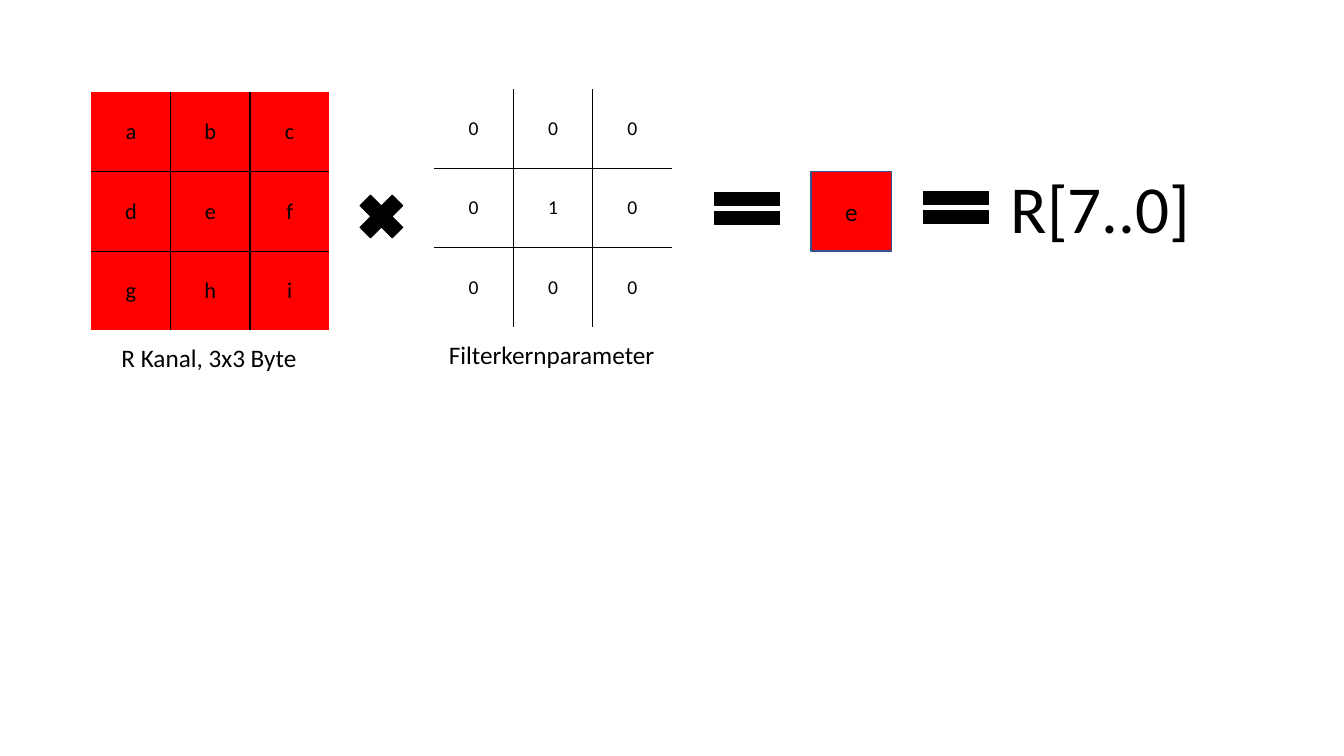
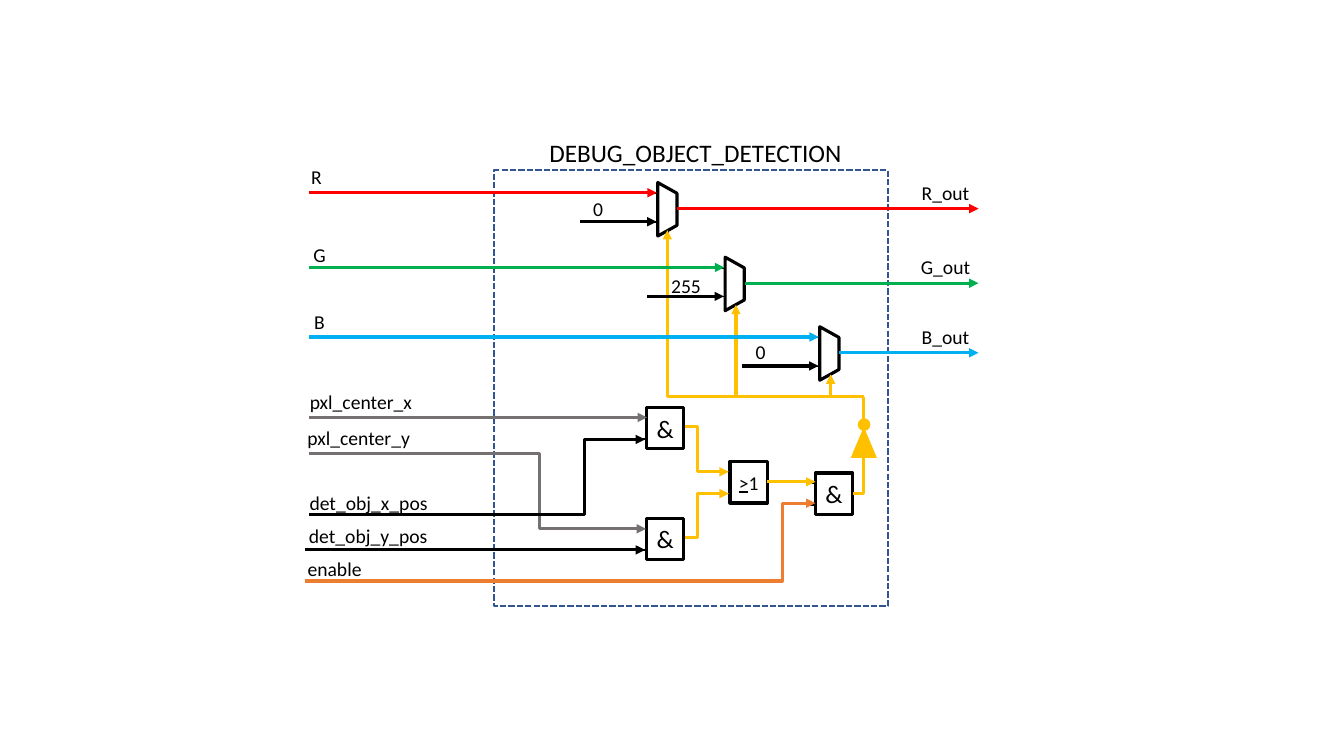
"""Builds two slides on a pixel filter and a debug circuit."""
from dataclasses import dataclass
from typing import NamedTuple, Optional

from lxml.etree import SubElement
from pptx import Presentation
from pptx.dml.color import RGBColor
from pptx.dml.fill import FillFormat
from pptx.enum.dml import MSO_LINE
from pptx.enum.shapes import MSO_CONNECTOR, MSO_SHAPE
from pptx.enum.text import MSO_ANCHOR, PP_ALIGN
from pptx.oxml.ns import qn
from pptx.shapes.autoshape import Shape
from pptx.slide import Slide
from pptx.text.text import TextFrame
from pptx.util import Pt


@dataclass(frozen=True)
class Theme:
    font: str = "Calibri"
    black: str = "000000"
    white: str = "FFFFFF"
    red: str = "FF0000"
    green: str = "00B050"
    blue: str = "00B0F0"
    grey: str = "767171"
    orange: str = "ED7D31"
    gold: str = "FFC000"
    navy: str = "325491"
    small: float = 14
    cell: float = 16
    body: float = 18
    result: float = 48
    thin: float = 1
    frame: float = 1.5
    thick: float = 2.25


THEME = Theme()


class Wire(NamedTuple):
    start: tuple[float, float]
    end: tuple[float, float]
    color: str = THEME.black
    bend: Optional[float] = None
    arrow: bool = True
    width: float = THEME.thick


Place = NamedTuple("Place", [("left", float), ("top", float), ("width", float), ("height", float)])
Span = NamedTuple("Span", [("text", str), ("underline", bool)])
Label = NamedTuple("Label", [("text", str), ("x", float), ("top", float)])
Gate = NamedTuple("Gate", [("left", float), ("top", float), ("spans", tuple[Span, ...]), ("size", float)])
Matrix = NamedTuple("Matrix", [("rows", tuple[str, ...]), ("left", float), ("top", float), ("size", float),
                               ("fill", Optional[str]), ("caption", str), ("caption_place", Place)])
Channel = NamedTuple("Channel", [("color", str), ("x", float), ("y", float), ("name", Label), ("constant", Label)])

CELL = 56.7
GATE_WIDTH, GATE_HEIGHT = 26.6, 29.7
MUX_WIDTH, MUX_HEIGHT = 13.7, 38.2
BUS_X, BUS_Y = 617, 283.4
INPUT_X, OUTPUT_X = 220.6, 699
AND = (Span("&", False),)

MATRICES = (
    Matrix(("abc", "def", "ghi"), 65.2, 66, THEME.cell, THEME.red,
           "R Kanal, 3x3 Byte", Place(79.7, 241.2, 141.1, 28.8)),
    Matrix(("000", "010", "000"), 310, 63.5, THEME.small, None,
           "Filterkernparameter", Place(313.6, 239, 162.7, 28.8)),
)
OPERATORS = (
    (MSO_SHAPE.MATH_MULTIPLY, Place(250.4, 132.6, 44.1, 44.1)),
    (MSO_SHAPE.MATH_EQUAL, Place(502, 129.4, 63.4, 38.9)),
    (MSO_SHAPE.MATH_EQUAL, Place(651.2, 128.8, 63.4, 38.9)),
)
CHANNELS = (
    Channel(THEME.red, 476.7, 149, Label("R", 226.1, 114.5), Label("0", 427.3, 136.8)),
    Channel(THEME.green, 524.8, 202.3, Label("G", 228.2, 169.9), Label("255", 490, 192.2)),
    Channel(THEME.blue, 592.4, 252, Label("B", 228.2, 217.6), Label("0", 543.2, 239.6)),
)
GATES = (
    Gate(461.9, 290.9, AND, THEME.body),
    Gate(461.9, 370.1, AND, THEME.body),
    Gate(521.5, 329.6, (Span(">", True), Span("1", False)), THEME.small),
    Gate(582.4, 337.9, AND, THEME.body),
)
WIRES = (
    Wire((INPUT_X, 298.2), (462.2, 298.2), THEME.grey),
    Wire((INPUT_X, 324), (461.5, 377.8), THEME.grey, 385.2),
    Wire((INPUT_X, 367.8), (460.8, 313.9), bend=417.6),
    Wire((217.6, 392.8), (460.8, 392.8)),
    Wire((217.6, 415), (582.5, 359.4), THEME.orange, 558.7),
    Wire((489.2, 304.6), (520.6, 337), THEME.gold, 498.2),
    Wire((489.2, 383.8), (520.6, 352.6), THEME.gold, 498.5),
    Wire((548, 344.2), (582.5, 344.2), THEME.gold),
    Wire((609.1, 352.5), (BUS_X, BUS_Y), THEME.gold, BUS_X, False),
)
LABELS = (
    Label("pxl_center_x", 257.8, 275),
    Label("pxl_center_y", 256.3, 300.4),
    Label("det_obj_x_pos", 263.3, 347),
    Label("det_obj_y_pos", 263, 370.8),
    Label("enable", 239, 394),
)


def lengths(place: Place) -> list[Pt]:
    """Gives the four lengths of a place in points."""
    return [Pt(value) for value in place]


def paint(fill: FillFormat, color: Optional[str]) -> None:
    """Sets a solid colour, or none."""
    if color:
        fill.solid()
        fill.fore_color.rgb = RGBColor.from_string(color)
    else:
        fill.background()


def write(frame: TextFrame, spans: tuple[Span, ...], size: float, align: PP_ALIGN = PP_ALIGN.CENTER) -> None:
    """Writes the spans into the first paragraph."""
    para = frame.paragraphs[0]
    para.alignment = align
    for span in spans:
        run = para.add_run()
        run.text = span.text
        run.font.name, run.font.size = THEME.font, Pt(size)
        run.font.underline = span.underline or None
        paint(run.font.fill, THEME.black)


def add_text(page: Slide, text: str, place: Place, size: float, align: PP_ALIGN = PP_ALIGN.LEFT,
             wrap: bool = True) -> None:
    """Adds a text box."""
    box = page.shapes.add_textbox(*lengths(place))
    box.text_frame.word_wrap = wrap
    write(box.text_frame, (Span(text, False),), size, align)


def add_label(page: Slide, label: Label) -> None:
    """Adds a small label centred on its x."""
    add_text(page, label.text, Place(label.x - 66, label.top, 132, 24.5), THEME.small, PP_ALIGN.CENTER)


def add_box(page: Slide, kind: MSO_SHAPE, place: Place, fill: Optional[str], line: Optional[str] = None,
            width: float = THEME.thin) -> Shape:
    """Adds a preset shape without a shadow."""
    box = page.shapes.add_shape(kind, *lengths(place))
    box.shadow.inherit = False
    paint(box.fill, fill)
    paint(box.line.fill, line)
    if line:
        box.line.width = Pt(width)
    return box


def add_symbol(box: Shape, spans: tuple[Span, ...], size: float) -> None:
    """Centres text inside a shape."""
    frame = box.text_frame
    frame.margin_left = frame.margin_right = frame.margin_top = frame.margin_bottom = 0
    frame.vertical_anchor = MSO_ANCHOR.MIDDLE
    write(frame, spans, size)


def add_wire(page: Slide, wire: Wire) -> None:
    """Adds a straight, stepped or cornered connector."""
    kind = MSO_CONNECTOR.STRAIGHT if wire.bend is None else MSO_CONNECTOR.ELBOW
    connector = page.shapes.add_connector(kind, *lengths(wire.start + wire.end))
    paint(connector.line.fill, wire.color)
    connector.line.width = Pt(wire.width)
    properties = connector._element.spPr
    geometry = properties.find(qn("a:prstGeom"))
    if wire.bend == wire.end[0]:
        geometry.set("prst", "bentConnector2")
    elif wire.bend is not None:
        ratio = round((wire.bend - wire.start[0]) / (wire.end[0] - wire.start[0]) * 100000)
        SubElement(geometry.find(qn("a:avLst")), qn("a:gd"), name="adj1", fmla=f"val {ratio}")
    if wire.arrow:
        SubElement(properties.find(qn("a:ln")), qn("a:tailEnd"), type="triangle")
    SubElement(properties, qn("a:effectLst"))


def add_pin(page: Slide, x: float, y: float, width: float, height: float = 0) -> None:
    """Adds a thin pin of a circuit part."""
    add_wire(page, Wire((x, y), (x + width, y + height), arrow=False, width=THEME.thin))


def add_matrix(page: Slide, matrix: Matrix) -> None:
    """Adds a table with inner rules only, and its caption."""
    count = len(matrix.rows)
    place = Place(matrix.left, matrix.top, CELL * count, CELL * count)
    table = page.shapes.add_table(count, count, *lengths(place)).table
    table.first_row = table.horz_banding = False
    table._tbl.tblPr.find(qn("a:tableStyleId")).text = "{2D5ABB26-0587-4C30-8999-92F81FD0307C}"
    for i, row in enumerate(matrix.rows):
        for j, value in enumerate(row):
            cell = table.cell(i, j)
            cell.vertical_anchor = MSO_ANCHOR.MIDDLE
            sides = {"L": j > 0, "R": j < count - 1, "T": i > 0, "B": i < count - 1}
            for side in (name for name, inner in sides.items() if inner):
                rule = SubElement(cell._tc.get_or_add_tcPr(), qn(f"a:ln{side}"), w=str(Pt(THEME.thin)))
                SubElement(SubElement(rule, qn("a:solidFill")), qn("a:srgbClr"), val=THEME.black)
            paint(cell.fill, matrix.fill)
            write(cell.text_frame, (Span(value, False),), matrix.size)
    add_text(page, matrix.caption, matrix.caption_place, THEME.body, wrap=False)


def add_gate(page: Slide, gate: Gate) -> None:
    """Adds a logic gate with its pins and symbol."""
    place = Place(gate.left, gate.top, GATE_WIDTH, GATE_HEIGHT)
    box = add_box(page, MSO_SHAPE.RECTANGLE, place, THEME.white, THEME.black, THEME.thick)
    add_symbol(box, gate.spans, gate.size)
    for x, y in ((GATE_WIDTH, 14.2), (-5.8, 7.2), (-5.8, 22.8)):
        add_pin(page, gate.left + x, gate.top + y, 5.8)


def add_channel(page: Slide, channel: Channel, corner: bool) -> None:
    """Adds a multiplexer with its wires and labels."""
    x, y = channel.x, channel.y
    place = Place(x - MUX_HEIGHT / 2, y + 0.5 - MUX_WIDTH / 2, MUX_HEIGHT, MUX_WIDTH)
    mux = add_box(page, MSO_SHAPE.FLOWCHART_MANUAL_OPERATION, place, THEME.white, THEME.black, THEME.thick)
    mux.rotation = 270
    add_pin(page, x + 1, y + 14.4, 0, 9.9)
    for pin_x, pin_y in ((-15.5, -10.9), (-15.5, 9.6), (7.2, 0)):
        add_pin(page, x + pin_x, y + pin_y, 8)
    tip = x if corner else x + 0.9
    for wire in (
        Wire((INPUT_X, y - 11.3), (x - 7.5, y - 11.3), channel.color),
        Wire((x - 62.3, y + 9.4), (x - 7.7, y + 9.4)),
        Wire((x + 7.2, y), (OUTPUT_X, y), channel.color),
        Wire((BUS_X if corner else tip, BUS_Y), (tip, y + 15.4), THEME.gold, tip if corner else None),
    ):
        add_wire(page, wire)
    for label in (channel.name, channel.constant, Label(f"{channel.name.text}_out", 675.4, y - 23.4)):
        add_label(page, label)


def build_filter(page: Slide) -> None:
    """Builds the slide on the filter kernel."""
    for matrix in MATRICES:
        add_matrix(page, matrix)
    for kind, place in OPERATORS:
        add_box(page, kind, place, THEME.black, THEME.black)
    pixel = add_box(page, MSO_SHAPE.RECTANGLE, Place(579.4, 122.3, 57.6, 56.9), THEME.red, THEME.navy)
    add_symbol(pixel, (Span("e", False),), THEME.body)
    add_text(page, "R[7..0]", Place(715, 115.2, 143.3, 65.5), THEME.result)


def build_circuit(page: Slide) -> None:
    """Builds the slide on the debug circuit."""
    title = page.shapes.title
    title.left, title.top, title.width, title.height = lengths(Place(385.2, 94.5, 231.8, 28.8))
    title.text_frame.vertical_anchor = MSO_ANCHOR.TOP
    write(title.text_frame, (Span("DEBUG_OBJECT_DETECTION", False),), THEME.body, PP_ALIGN.LEFT)
    place = Place(353.2, 121.7, 281.3, 311)
    frame = add_box(page, MSO_SHAPE.RECTANGLE, place, None, THEME.navy, THEME.frame)
    frame.line.dash_style = MSO_LINE.SQUARE_DOT
    for gate in GATES:
        add_gate(page, gate)
    for wire in WIRES:
        add_wire(page, wire)
    for channel in CHANNELS:
        add_channel(page, channel, corner=channel is CHANNELS[0])
    add_box(page, MSO_SHAPE.ISOSCELES_TRIANGLE, Place(607.7, 304.8, 18.7, 22.3), THEME.gold)
    add_box(page, MSO_SHAPE.OVAL, Place(612.7, 298.8, 9, 9), THEME.gold)
    for label in LABELS:
        add_label(page, label)


def main() -> None:
    """Builds and saves the deck."""
    deck = Presentation()
    deck.slide_width, deck.slide_height = Pt(960), Pt(540)
    build_filter(deck.slides.add_slide(deck.slide_layouts[6]))
    build_circuit(deck.slides.add_slide(deck.slide_layouts[5]))
    deck.save("out.pptx")


if __name__ == "__main__":
    main()
